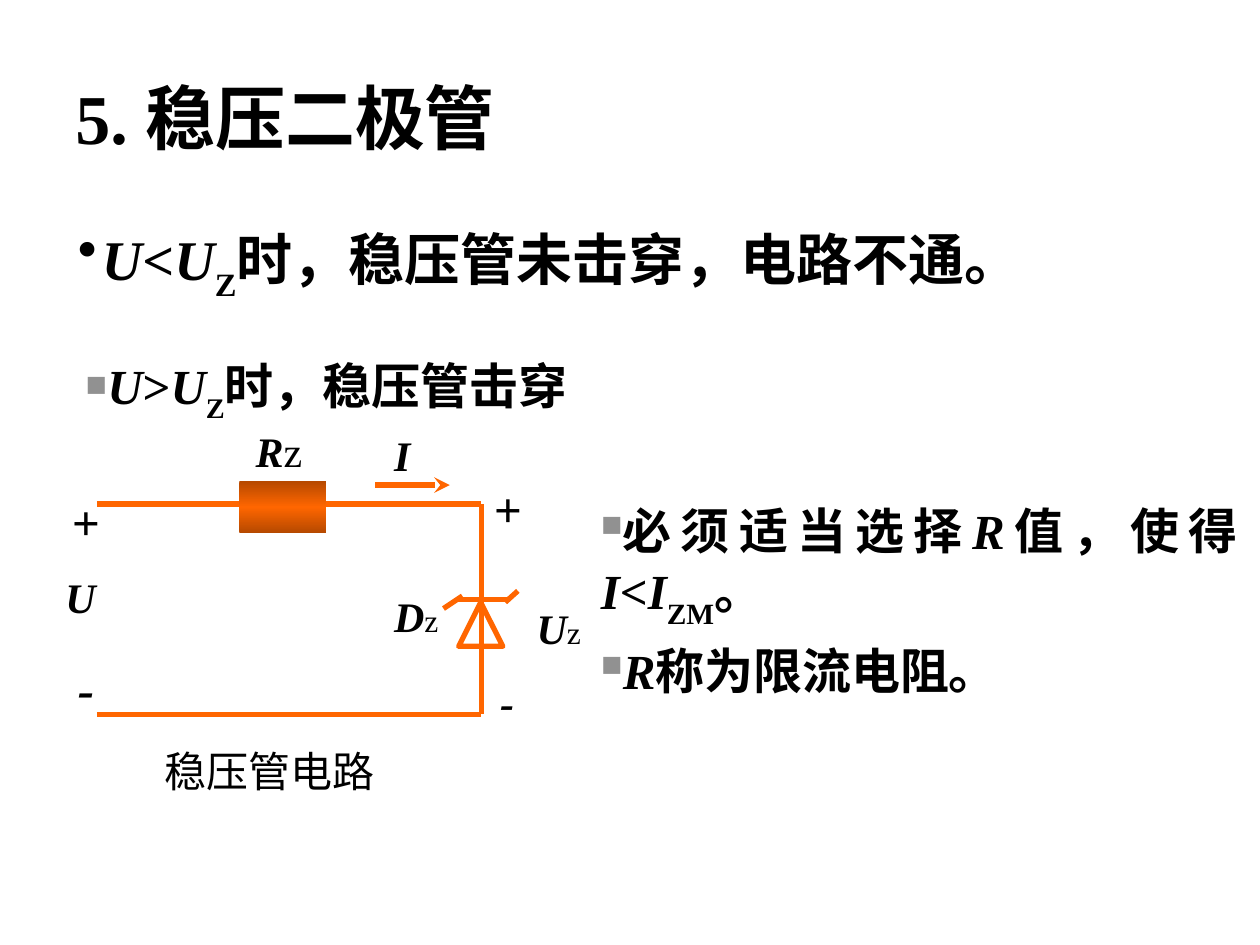
from copy import deepcopy

from lxml import etree
from pptx import Presentation
from pptx.dml.color import RGBColor
from pptx.enum.shapes import MSO_CONNECTOR, MSO_SHAPE
from pptx.enum.text import MSO_ANCHOR, PP_ALIGN
from pptx.oxml.ns import qn
from pptx.util import Inches, Pt

BLACK = RGBColor(0, 0, 0)
ORANGE = RGBColor(0xFF, 0x66, 0x00)
BROWN = RGBColor(0xB6, 0x49, 0x00)
GRAY = RGBColor(0x91, 0x91, 0x91)
LINE = MSO_CONNECTOR.STRAIGHT
RECT = MSO_SHAPE.RECTANGLE
TRIANGLE = MSO_SHAPE.ISOSCELES_TRIANGLE
MIDDLE = MSO_ANCHOR.MIDDLE
JUSTIFY = PP_ALIGN.JUSTIFY
ROMAN, HAN = "Times New Roman", "Noto Sans CJK SC"

# Circuit geometry in inches
LEFT, RIGHT, TOP, BASE = 0.77, 3.82, 4, 5.67
RES_X, RES_W, RES_H = 1.9, 0.69, 0.41
BAR_Y = 4.76


def add_box(slide, x, y, w, h):
    frame = slide.shapes.add_textbox(Inches(x), Inches(y), Inches(w), Inches(h)).text_frame
    frame.word_wrap = True
    return frame


def add_run(para, text, size, font=ROMAN, bold=True, italic=False, sub=False):
    run = para.add_run()
    run.text = text
    face = run.font
    face.name, face.size, face.bold, face.italic = font, Pt(size), bold, italic
    face.color.rgb = BLACK
    props = run._r.get_or_add_rPr()
    etree.SubElement(props, qn("a:ea"), typeface=HAN)
    if sub:
        props.set("baseline", "-30000")


def add_bullet(para, mark, color=None, scale=None):
    props = para._p.get_or_add_pPr()
    if color is not None:
        tint = etree.SubElement(props, qn("a:buClr"))
        etree.SubElement(tint, qn("a:srgbClr"), val=str(color))
    if scale:
        etree.SubElement(props, qn("a:buSzPct"), val=str(scale * 1000))
    etree.SubElement(props, qn("a:buChar"), char=mark)


def add_square(para):
    para.alignment = JUSTIFY
    add_bullet(para, "■", GRAY, 60)


def add_case(para, sign, text, size):
    """Add a comparison of U with U_Z and what follows from it."""
    add_run(para, "U", size, italic=True)
    add_run(para, sign, size)
    add_run(para, "U", size, italic=True)
    add_run(para, "Z", size, sub=True)
    add_run(para, text, size, HAN)


def add_label(slide, x, y, text, size=24, sub="", small=18):
    para = add_box(slide, x, y, 0.69, 0.51).paragraphs[0]
    add_run(para, text, size, italic=True)
    if sub:
        add_run(para, sub, small, bold=False)


def add_wire(slide, x1, y1, x2, y2, arrow=False):
    wire = slide.shapes.add_connector(LINE, Inches(x1), Inches(y1), Inches(x2), Inches(y2))
    wire.line.color.rgb = ORANGE
    wire.line.width = Pt(3)
    if arrow:
        etree.SubElement(wire.line._get_or_add_ln(), qn("a:tailEnd"), type="stealth")
    etree.SubElement(wire._element.spPr, qn("a:effectLst"))


def add_part(slide, kind, x, y, w, h):
    part = slide.shapes.add_shape(kind, Inches(x), Inches(y), Inches(w), Inches(h))
    part.shadow.inherit = False
    return part


def add_resistor(slide):
    part = add_part(slide, RECT, RES_X, 3.82, RES_W, RES_H)
    part.line.fill.background()
    part.fill.gradient()
    part.fill.gradient_angle = 90
    stops = part._element.spPr.find(qn("a:gradFill")).find(qn("a:gsLst"))
    stops.append(deepcopy(stops[0]))
    for stop, place, color in zip(part.fill.gradient_stops, (0, 0.5, 1), (BROWN, ORANGE, BROWN)):
        stop.position = place
        stop.color.rgb = color


def add_diode(slide):
    add_wire(slide, 3.63, BAR_Y, 4.05, BAR_Y)
    add_wire(slide, 4.01, 4.78, 4.11, 4.69)
    add_wire(slide, 3.67, 4.73, 3.52, 4.83)
    part = add_part(slide, TRIANGLE, 3.64, 4.78, 0.35, 0.35)
    part.fill.background()
    part.line.color.rgb = ORANGE
    part.line.width = Pt(3)


def add_circuit(slide):
    add_resistor(slide)
    add_wire(slide, LEFT, TOP, RES_X, TOP)
    add_wire(slide, RES_X + RES_W, TOP, RIGHT, TOP)
    add_wire(slide, RIGHT, TOP, RIGHT, BASE)
    add_wire(slide, LEFT, BASE, RIGHT, BASE)
    add_diode(slide)
    add_wire(slide, 2.98, 3.85, 3.57, 3.85, arrow=True)
    add_label(slide, 1.93, 3.33, "R", sub="z", small=24)
    add_label(slide, 4.16, 4.73, "U", sub="z")
    add_label(slide, 3.03, 4.64, "D", sub="z")
    add_label(slide, 3.03, 3.36, "I")
    add_label(slide, 0.42, 4.49, "U")
    add_label(slide, 3.82, 3.75, "+", 28)
    add_label(slide, 0.47, 3.85, "+", 28)
    add_label(slide, 3.87, 5.32, "-")
    add_label(slide, 0.52, 5.18, "-", 28)
    caption = add_box(slide, 1.21, 5.87, 2.51, 0.51)
    add_run(caption.paragraphs[0], "稳压管电路", 24, "Calibri", bold=False)


def add_cases(slide):
    para = add_box(slide, 0.52, 1.73, 9.08, 0.84).paragraphs[0]
    para.alignment = JUSTIFY
    para.line_spacing = 0.9
    props = para._p.get_or_add_pPr()
    props.set("marL", str(Inches(0.19)))
    props.set("indent", str(Inches(-0.19)))
    add_bullet(para, "•")
    add_case(para, "<", "时，稳压管未击穿，电路不通。", 32)
    para = add_box(slide, 0.58, 2.77, 5.17, 0.57).paragraphs[0]
    add_square(para)
    add_case(para, ">", "时，稳压管击穿", 28)


def add_notes(slide):
    """Add the remarks on the choice of the resistor."""
    frame = add_box(slide, 4.67, 3.92, 5.25, 1.6)
    para = frame.paragraphs[0]
    add_square(para)
    add_run(para, "必须适当选择", 28, HAN)
    add_run(para, "R", 28, italic=True)
    add_run(para, "值，使得", 28, HAN)
    add_run(para, "I", 28, italic=True)
    add_run(para, "<", 28)
    add_run(para, "I", 28, italic=True)
    add_run(para, "ZM", 29, sub=True)
    add_run(para, "。", 28, HAN)
    para = frame.add_paragraph()
    para.space_before = Pt(5.6)
    add_square(para)
    add_run(para, "R", 28, italic=True)
    add_run(para, "称为限流电阻。", 28, HAN)


def main():
    deck = Presentation()
    deck.slide_width, deck.slide_height = Inches(10), Inches(7.5)
    slide = deck.slides.add_slide(deck.slide_layouts[6])
    title = add_box(slide, 0.5, 0.3, 9, 1.25)
    title.vertical_anchor = MIDDLE
    add_run(title.paragraphs[0], "5. 稳压二极管", 40)
    add_cases(slide)
    add_notes(slide)
    add_circuit(slide)
    deck.save("out.pptx")


if __name__ == "__main__":
    main()
